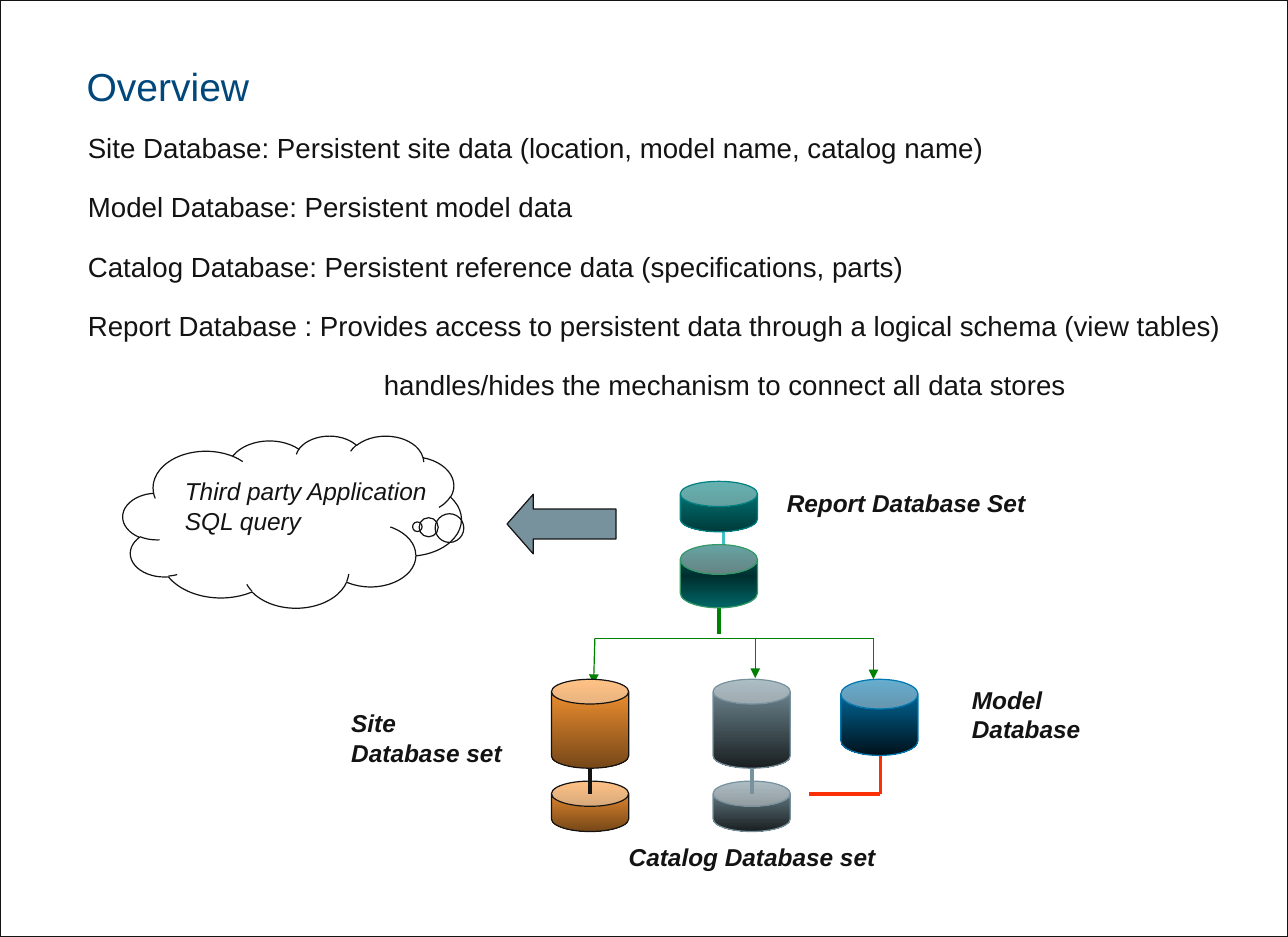
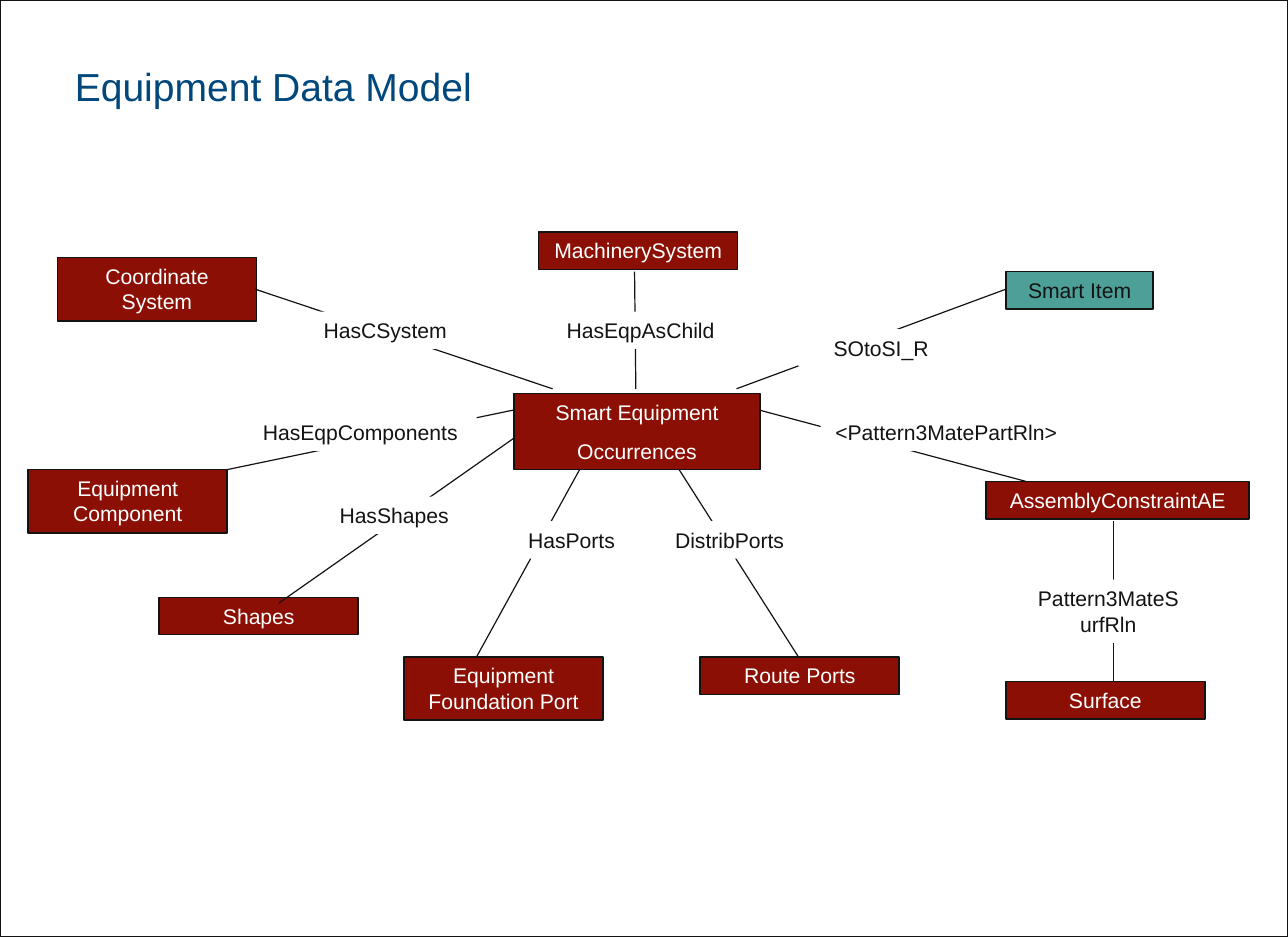
from dataclasses import dataclass

import lxml.etree
import pptx
import pptx.dml.color
import pptx.enum.shapes
import pptx.enum.text
import pptx.oxml.ns
import pptx.presentation
import pptx.shapes.autoshape
import pptx.shapes.base
import pptx.slide
import pptx.text.text
import pptx.util

Pt = pptx.util.Pt
qn = pptx.oxml.ns.qn
SHAPE = pptx.enum.shapes.MSO_SHAPE
ALIGN = pptx.enum.text.PP_ALIGN
ANCHOR = pptx.enum.text.MSO_ANCHOR

FONT = "Arial"
WIDTH, HEIGHT = 792, 576
COLORS = {
    "ink": "131313", "white": "FFFFFF", "title": "00477B",
    "maroon": "8B0F04", "teal box": "4DA097",
    "orange": "FF9933", "brown": "764718",
    "slate": "77919D", "dark slate": "191F21",
    "blue": "0077B0", "navy": "00121B",
    "teal": "008080", "dark teal": "003B3B",
    "pine": "006666", "dark pine": "002F2F", "leaf": "339966",
    "green": "008000", "red": "FB3008", "aqua": "42C1C1",
}


@dataclass(frozen=True)
class Can:
    left: float
    top: float
    height: float
    lid: float
    stops: tuple[str, ...]
    outline: str


@dataclass(frozen=True)
class Line:
    start: tuple[float, float]
    end: tuple[float, float]
    color: str = "ink"
    width: float = 0.75
    arrow: bool = False


@dataclass(frozen=True)
class Label:
    left: float
    top: float
    width: float
    lines: tuple[str, ...]
    bold: bool = True


@dataclass(frozen=True)
class Box:
    left: float
    top: float
    width: float
    height: float
    lines: tuple[str, ...]
    fill: str = "maroon"
    ink: str = "white"
    outline: str | None = "ink"


@dataclass(frozen=True)
class Relation:
    line: Line
    label: Box


# Shared helpers
def rgb(name: str) -> pptx.dml.color.RGBColor:
    return pptx.dml.color.RGBColor.from_string(COLORS[name])


def add_run(paragraph: pptx.text.text._Paragraph, text: str, size: float,
            color: str, bold: bool = False, italic: bool = False) -> None:
    run = paragraph.add_run()
    run.text = text
    run.font.name, run.font.size = FONT, Pt(size)
    run.font.bold, run.font.italic = bold, italic
    run.font.color.rgb = rgb(color)


def set_frame(frame: pptx.text.text.TextFrame, horizontal: float, vertical: float,
              anchor: ANCHOR = ANCHOR.TOP) -> None:
    frame.word_wrap = True
    frame.auto_size = pptx.enum.text.MSO_AUTO_SIZE.NONE
    frame.vertical_anchor = anchor
    frame.margin_left = frame.margin_right = Pt(horizontal)
    frame.margin_top = frame.margin_bottom = Pt(vertical)


def get_paragraph(frame: pptx.text.text.TextFrame, index: int) -> pptx.text.text._Paragraph:
    return frame.add_paragraph() if index else frame.paragraphs[0]


def add_shape(slide: pptx.slide.Slide, kind: SHAPE, left: float, top: float, width: float,
              height: float, fill: str | None, outline: str | None,
              line_width: float = 0.75) -> pptx.shapes.autoshape.Shape:
    shape = slide.shapes.add_shape(kind, Pt(left), Pt(top), Pt(width), Pt(height))
    shape.shadow.inherit = False
    if fill:
        shape.fill.solid()
        shape.fill.fore_color.rgb = rgb(fill)
    else:
        shape.fill.background()
    if outline:
        shape.line.color.rgb = rgb(outline)
        shape.line.width = Pt(line_width)
    else:
        shape.line.fill.background()
    return shape


def add_line(slide: pptx.slide.Slide, line: Line) -> None:
    connector = slide.shapes.add_connector(
        pptx.enum.shapes.MSO_CONNECTOR.STRAIGHT, *(Pt(value) for value in line.start + line.end))
    connector.line.color.rgb = rgb(line.color)
    connector.line.width = Pt(line.width)
    properties = connector._element.spPr
    if line.arrow:
        lxml.etree.SubElement(properties.find(qn("a:ln")), qn("a:tailEnd"), type="triangle")
    lxml.etree.SubElement(properties, qn("a:effectLst"))


def add_can(slide: pptx.slide.Slide, can: Can) -> None:
    shape = add_shape(slide, SHAPE.CAN, can.left, can.top, CAN_WIDTH, can.height,
                      None, can.outline)
    shape.adjustments[0] = can.lid
    shape.fill.gradient()
    shape.fill.gradient_angle = 270
    stop_list = shape._element.spPr.find(".//" + qn("a:gsLst"))
    for stop in list(stop_list):
        stop_list.remove(stop)
    for index, color in enumerate(can.stops):
        position = index * 100000 // (len(can.stops) - 1)
        stop = lxml.etree.SubElement(stop_list, qn("a:gs"), pos=str(position))
        lxml.etree.SubElement(stop, qn("a:srgbClr"), val=COLORS[color])


def add_label(slide: pptx.slide.Slide, label: Label) -> None:
    shape = slide.shapes.add_textbox(Pt(label.left), Pt(label.top), Pt(label.width), Pt(44))
    set_frame(shape.text_frame, 7.92, 3.6)
    for index, text in enumerate(label.lines):
        add_run(get_paragraph(shape.text_frame, index), text, 15, "ink", label.bold, True)


def add_box(slide: pptx.slide.Slide, box: Box) -> None:
    shape = add_shape(slide, SHAPE.RECTANGLE, box.left, box.top, box.width, box.height,
                      box.fill, box.outline, 1)
    set_frame(shape.text_frame, 7.2, 3.6)
    for index, text in enumerate(box.lines):
        paragraph = get_paragraph(shape.text_frame, index)
        paragraph.alignment = ALIGN.CENTER
        if index:
            paragraph.space_before = Pt(8.1)
        add_run(paragraph, text, 13, box.ink)


def add_titled_slide(presentation: pptx.presentation.Presentation, text: str,
                     indent: float = 0) -> pptx.slide.Slide:
    slide = presentation.slides.add_slide(presentation.slide_layouts[5])
    page = add_shape(slide, SHAPE.RECTANGLE, 0, 0, WIDTH, HEIGHT, "white", "ink")
    slide.shapes._spTree.insert(2, page._element)
    title = slide.shapes.title
    title.left, title.top, title.width, title.height = Pt(46), Pt(10), Pt(480), Pt(57)
    set_frame(title.text_frame, 0, 0, ANCHOR.BOTTOM)
    title.text_frame.margin_left = Pt(indent)
    paragraph = title.text_frame.paragraphs[0]
    paragraph.alignment = ALIGN.LEFT
    add_run(paragraph, text, 24, "title")
    return slide


# Overview: cans and their links, from back to front
CAN_WIDTH = 47.5
SITE, CATALOG, MODEL, REPORT = 339.1, 438.5, 517, 418.3
STORE_TOP, LOWER_TOP, STEM_BOTTOM, BUS = 417.6, 480.2, 488.2, 392.4
ORANGE, SLATE = ("orange", "brown"), ("slate", "dark slate")


def stacked_store(left: float, stops: tuple[str, ...], outline: str) -> list[Can | Line]:
    center = left + CAN_WIDTH / 2
    return [
        Can(left, LOWER_TOP, 31, 0.5, stops, outline),
        Line((center, STEM_BOTTOM), (center, 464.4), outline, 2.25),
        Can(left, STORE_TOP, 54.7, 0.32, stops, outline),
    ]


DIAGRAM: list[Can | Line] = [
    Line((365.8, BUS), (537.1, BUS), "green"),
    Line((365.8, BUS), (365, 420.5), "green", arrow=True),
    Line((464.4, BUS), (464.4, 416.9), "green", arrow=True),
    *stacked_store(SITE, ORANGE, "ink"),
    *stacked_store(CATALOG, SLATE, "slate"),
    Line((442.1, 389.5), (442.1, 373.7), "green", 2.25),
    Line((497.5, STEM_BOTTOM), (541.4, STEM_BOTTOM), "red", 2.25),
    Line((541.4, STEM_BOTTOM), (541.4, 433.4), "red", 2.25),
    Can(MODEL, STORE_TOP, 46.8, 0.39, ("blue", "navy"), "blue"),
    Line((445, 345.6), (445, 321.8), "aqua", 2.25),
    Can(REPORT, 295.9, 31, 0.5, ("teal", "dark teal"), "teal"),
    Can(REPORT, 334.8, 38.9, 0.47, ("pine", "dark pine", "pine"), "leaf"),
    Line((537.1, BUS), (537.1, STORE_TOP), "green", arrow=True),
]
LABELS = [
    Label(208.1, 432, 112.3, ("Site Database set",)),
    Label(378.7, 514.1, 185, ("Catalog Database set",)),
    Label(105.8, 289.4, 177.8, ("Third party Application", "SQL query"), bold=False),
    Label(589.7, 417.6, 99.4, ("Model Database",)),
    Label(475.9, 296.6, 178.6, ("Report Database Set",)),
]
# Each statement with its left indent
STATEMENTS = [
    ("Site Database: Persistent site data (location, model name, catalog name)", 29.5),
    ("Model Database: Persistent model data", 29.5),
    ("Catalog Database: Persistent reference data (specifications, parts)", 29.5),
    ("Report Database : Provides access to persistent data through a logical schema"
     " (view tables)", 29.5),
    ("handles/hides the mechanism to connect all data stores", 211.5),
]


def build_overview(presentation: pptx.presentation.Presentation) -> None:
    slide = add_titled_slide(presentation, "Overview", 7.2)
    for part in DIAGRAM:
        if isinstance(part, Can):
            add_can(slide, part)
        else:
            add_line(slide, part)
    body = slide.shapes.add_textbox(Pt(24.5), Pt(80.6), Pt(754.5), Pt(180))
    set_frame(body.text_frame, 0, 0)
    for index, (text, indent) in enumerate(STATEMENTS):
        paragraph = get_paragraph(body.text_frame, index)
        paragraph._p.get_or_add_pPr().set("marL", str(Pt(indent)))
        if index:
            paragraph.space_before = Pt(10.6)
        paragraph.space_after = Pt(5.4)
        add_run(paragraph, text, 17, "ink")
    arrow = add_shape(slide, SHAPE.LEFT_ARROW, 311.8, 303.8, 67, 36.7, "slate", "ink")
    arrow.adjustments[1] = 0.44
    cloud = add_shape(slide, SHAPE.CLOUD_CALLOUT, 75.6, 267.8, 208.1, 105.8, None, "ink")
    cloud.adjustments[0], cloud.adjustments[1] = 0.37, 0.03
    for label in LABELS:
        add_label(slide, label)


# Equipment data model: entities, then relations with labels over their lines
ONE_LINE, TWO_LINES, ENTITY = 23, 38.9, 122.4
ENTITIES = [
    Box(331.2, 142.6, ENTITY, ONE_LINE, ("MachinerySystem",)),
    Box(316.1, 241.9, 151.2, 46.8, ("Smart Equipment", "Occurrences")),
    Box(618.5, 167, 90.7, ONE_LINE, ("Smart Item",), "teal box", "ink"),
    Box(17.3, 288.7, ENTITY, TWO_LINES, ("Equipment Component",)),
    Box(248.4, 403.9, ENTITY, TWO_LINES, ("Equipment Foundation Port",)),
    Box(606.2, 295.9, 162, ONE_LINE, ("AssemblyConstraintAE",)),
    Box(430.6, 403.9, ENTITY, ONE_LINE, ("Route Ports",)),
    Box(618.5, 419, ENTITY, ONE_LINE, ("Surface",)),
    Box(97.9, 367.2, ENTITY, ONE_LINE, ("Shapes",)),
    Box(35.3, 158.4, ENTITY, TWO_LINES, ("Coordinate System",)),
]


def relation(start: tuple[float, float], end: tuple[float, float], left: float, top: float,
             width: float, text: str, height: float = ONE_LINE) -> Relation:
    return Relation(Line(start, end),
                    Box(left, top, width, height, (text,), "white", "ink", None))


RELATIONS = [
    relation((491, 403.9), (417.6, 288.7), 405.4, 320.4, 86.4, "DistribPorts"),
    relation((390.2, 167), (391, 239), 331.9, 191.5, 123.8, "HasEqpAsChild"),
    relation((293, 403.9), (356.4, 288.7), 312.5, 320.4, 77.8, "HasPorts"),
    relation((171.4, 370.8), (316.1, 269.3), 191.5, 305.3, 101.5, "HasShapes"),
    relation((139.7, 288.7), (316.1, 252), 149.8, 254.2, 143.3, "HasEqpComponents"),
    relation((466.6, 252), (630.7, 295.9), 504.7, 254.2, 154.1, "<Pattern3MatePartRln>"),
    relation((618.5, 177.8), (452.9, 239), 491, 202.3, 101.5, "SOtoSI_R"),
    relation((339.8, 239), (157, 177.8), 181.4, 191.5, 110.9, "HasCSystem"),
    relation((684.7, 320.4), (684.7, 419), 630.7, 356.4, 101.5, "Pattern3MateSurfRln",
             TWO_LINES),
]


def build_data_model(presentation: pptx.presentation.Presentation) -> None:
    slide = add_titled_slide(presentation, "Equipment Data Model")
    for entity in ENTITIES:
        add_box(slide, entity)
    for link in RELATIONS:
        add_line(slide, link.line)
        add_box(slide, link.label)


def main() -> None:
    presentation = pptx.Presentation()
    presentation.slide_width, presentation.slide_height = Pt(WIDTH), Pt(HEIGHT)
    build_overview(presentation)
    build_data_model(presentation)
    presentation.save("out.pptx")


if __name__ == "__main__":
    main()
